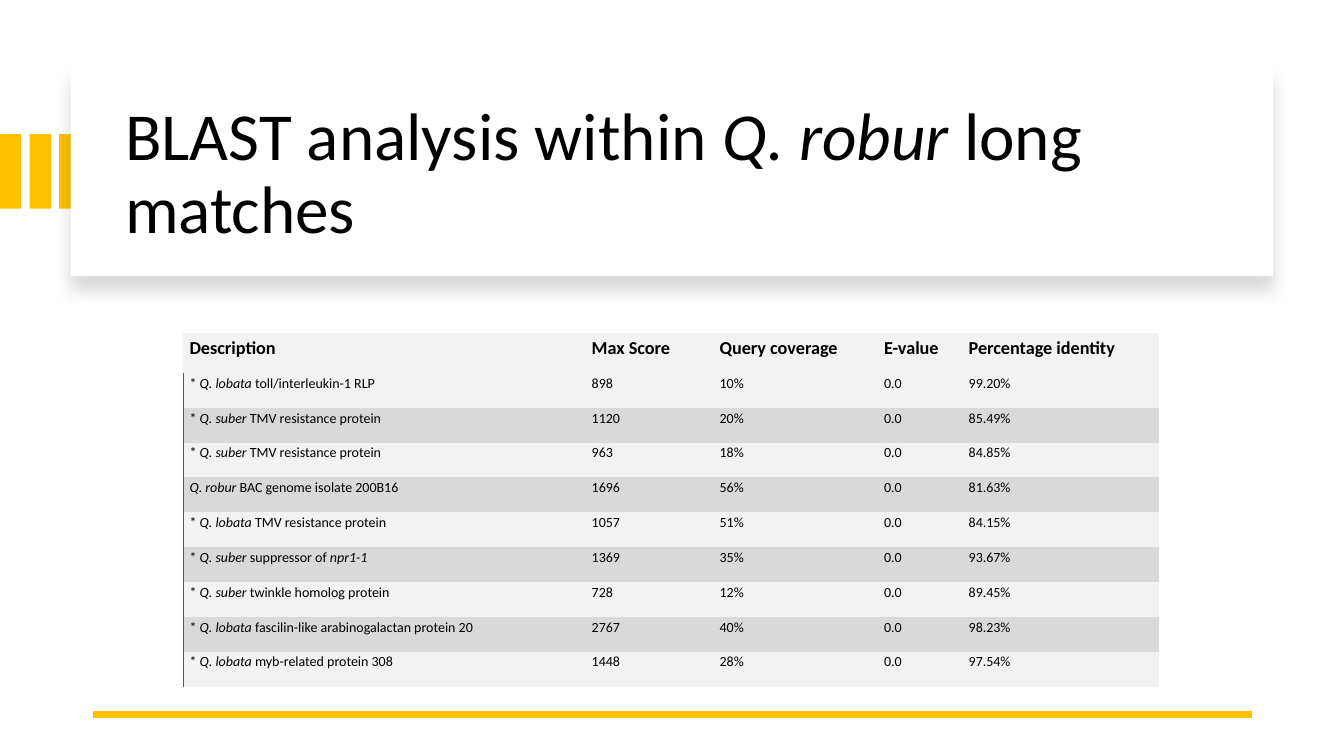
from lxml.etree import SubElement
from pptx import Presentation
from pptx.dml.color import RGBColor
from pptx.enum.shapes import MSO_CONNECTOR as CONN, MSO_SHAPE as SHAPE
from pptx.enum.text import MSO_ANCHOR as ANCHOR, MSO_AUTO_SIZE as FIT, PP_ALIGN as ALIGN
from pptx.oxml import parse_xml
from pptx.oxml.ns import nsdecls, qn
from pptx.util import Inches, Pt

GOLD = RGBColor(0xFF, 0xC0, 0x00)
WHITE = RGBColor(0xFF, 0xFF, 0xFF)
BLACK = RGBColor(0x00, 0x00, 0x00)
LIGHT = RGBColor(0xF2, 0xF2, 0xF2)
GREY = RGBColor(0xD9, 0xD9, 0xD9)
EDGE = RGBColor(0x59, 0x59, 0x59)
NO_STYLE = "{2D5ABB26-0587-4C30-8999-92F81FD0307C}"

TITLE = "BLAST analysis within |Q. robur |long matches"
HEADER = ("Description", "Max Score", "Query coverage", "E-value", "Percentage identity")
MATCHES = [
    ("* |Q. lobata| toll/interleukin-1 RLP", "898", "10%", "0.0", "99.20%"),
    ("* |Q. suber |TMV resistance protein", "1120", "20%", "0.0", "85.49%"),
    ("* |Q. suber |TMV resistance protein", "963", "18%", "0.0", "84.85%"),
    ("|Q. robur| BAC genome isolate 200B16", "1696", "56%", "0.0", "81.63%"),
    ("* |Q. lobata| TMV resistance protein", "1057", "51%", "0.0", "84.15%"),
    ("* |Q. suber| suppressor of |npr1-1", "1369", "35%", "0.0", "93.67%"),
    ("* |Q. suber| twinkle homolog protein", "728", "12%", "0.0", "89.45%"),
    ("* |Q. lobata |fascilin-like arabinogalactan protein 20", "2767", "40%", "0.0", "98.23%"),
    ("* |Q. lobata |myb-related protein 308", "1448", "28%", "0.0", "97.54%"),
]
COLS = (29.93, 9.52, 12.23, 6.3, 14.63)
HEAD_ROW, BODY_ROW = 5.33, 4.61


class Deck:
    """Holds the style and current slide; lengths are percent of the slide's size."""

    font = "Calibri"
    insets = {"margin_left": Inches(0.06), "margin_top": Inches(0.02),
              "margin_right": Inches(0.08), "margin_bottom": Inches(0.13)}

    def __init__(self, prs):
        self.prs = prs
        self.slide = prs.slides.add_slide(prs.slide_layouts[5])

    def x(self, share):
        """Turn a percentage of the width into a length."""
        return int(self.prs.slide_width * share / 100)

    def y(self, share):
        """Turn a percentage of the height into a length."""
        return int(self.prs.slide_height * share / 100)

    def area(self, left, top, width, height):
        """Turn four percentages into a position and size."""
        return self.x(left), self.y(top), self.x(width), self.y(height)

    def text(self, tf, text, size, bold=False):
        """Set one paragraph in which bars switch italics on and off."""
        p = tf.paragraphs[0]
        p.alignment = ALIGN.LEFT
        for i, part in enumerate(text.split("|")):
            if part:
                r = p.add_run()
                r.text = part
                style = {"name": self.font, "size": Pt(size), "bold": bold, "italic": i % 2 == 1}
                for key, value in style.items():
                    setattr(r.font, key, value)
                r.font.color.rgb = BLACK
        return p

    def box(self, shapes, area, color):
        """Add a plain filled rectangle."""
        s = shapes.add_shape(SHAPE.RECTANGLE, *self.area(*area))
        s.shadow.inherit = False
        s.fill.solid()
        s.fill.fore_color.rgb = color
        s.line.fill.background()
        return s

    def bars(self, count, left, top, width, height, step):
        """Add a group of evenly spaced gold bars."""
        group = self.slide.shapes.add_group_shape()
        for i in range(count):
            self.box(group.shapes, (left + i * step, top, width, height), GOLD)

    def panel(self, *area):
        """Add a white panel with a soft shadow below it."""
        s = self.box(self.slide.shapes, area, WHITE)
        effects = s.element.spPr.find(qn("a:effectLst"))
        effects.append(parse_xml(
            f'<a:outerShdw {nsdecls("a")} blurRad="{Pt(11)}" dist="{Pt(10)}" dir="5400000" '
            f'algn="t" rotWithShape="0"><a:srgbClr val="{BLACK}"><a:alpha val="15000"/>'
            '</a:srgbClr></a:outerShdw>'))

    def title(self, text, *area):
        """Place the title placeholder in front and fill it."""
        s = self.slide.shapes.title
        s.element.getparent().append(s.element)
        s.left, s.top, s.width, s.height = self.area(*area)
        tf = s.text_frame
        style = {"word_wrap": True, "auto_size": FIT.NONE, "vertical_anchor": ANCHOR.MIDDLE}
        for key, value in style.items():
            setattr(tf, key, value)
        self.text(tf, text, 48).line_spacing = 0.9

    def rule(self, start, end, top):
        """Add a horizontal gold line."""
        s = self.slide.shapes.add_connector(
            CONN.STRAIGHT, self.x(start), self.y(top), self.x(end), self.y(top))
        s.line.color.rgb = GOLD
        s.line.width = Pt(4.5)
        SubElement(s.element.spPr, qn("a:effectLst"))

    def cell(self, cell, text, color, header):
        """Fill and format one table cell."""
        anchor = ANCHOR.BOTTOM if header else ANCHOR.TOP
        for key, value in {**self.insets, "vertical_anchor": anchor}.items():
            setattr(cell, key, value)
        cell.fill.solid()
        cell.fill.fore_color.rgb = color
        self.text(cell.text_frame, text, 13 if header else 10, header)

    def table(self, left, top, header, body):
        """Add the table with banded rows and a left edge beside the body."""
        rows = [header, *body]
        heights = [HEAD_ROW] + [BODY_ROW] * len(body)
        s = self.slide.shapes.add_table(
            len(rows), len(COLS), *self.area(left, top, sum(COLS), sum(heights)))
        next(s.element.iter(qn("a:tableStyleId"))).text = NO_STYLE
        tbl = s.table
        tbl.first_row = tbl.horz_banding = False
        for col, width in zip(tbl.columns, COLS):
            col.width = self.x(width)
        for i, (row, height, texts) in enumerate(zip(tbl.rows, heights, rows)):
            row.height = self.y(height)
            color = GREY if i and i % 2 == 0 else LIGHT
            for cell, text in zip(row.cells, texts):
                self.cell(cell, text, color, i == 0)
        for props in list(s.element.iter(qn("a:tcPr")))[len(COLS)::len(COLS)]:
            props.insert(0, parse_xml(
                f'<a:lnL {nsdecls("a")} w="{Pt(0.75)}"><a:solidFill>'
                f'<a:srgbClr val="{EDGE}"/></a:solidFill></a:lnL>'))


def main():
    """Build the slide and save it."""
    prs = Presentation()
    prs.slide_width, prs.slide_height = Inches(13.33), Inches(7.5)
    deck = Deck(prs)
    deck.bars(3, 0, 17.73, 1.58, 9.87, 2.2)
    deck.panel(5.25, 8.93, 89.47, 27.6)
    deck.title(TITLE, 8.55, 11.87, 83.47, 22.67)
    deck.rule(93.15, 6.9, 94.53)
    deck.table(13.65, 44, HEADER, MATCHES)
    prs.save("out.pptx")


if __name__ == "__main__":
    main()
